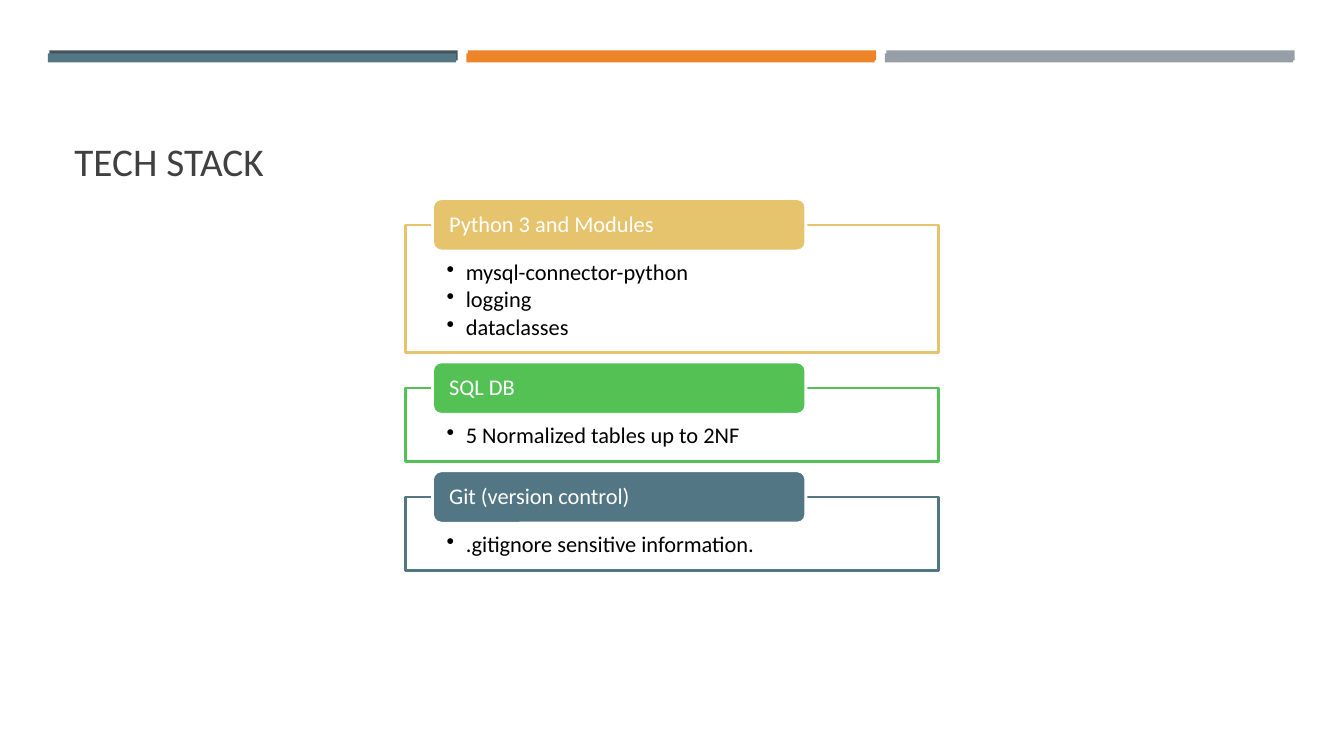
"""Build the tech stack slide: a three-colour header band and stacked panels with tab labels."""
import pptx
import pptx.dml.color
import pptx.enum.shapes
import pptx.enum.text
import pptx.util
import lxml.etree

RGBColor = pptx.dml.color.RGBColor
Shape = pptx.enum.shapes.MSO_SHAPE
Anchor = pptx.enum.text.MSO_ANCHOR
Align = pptx.enum.text.PP_ALIGN

WHITE = RGBColor(0xFF, 0xFF, 0xFF)
BLACK = RGBColor(0x00, 0x00, 0x00)
CHARCOAL = RGBColor(0x40, 0x40, 0x40)
DARK_SLATE = RGBColor(0x46, 0x53, 0x59)
SLATE = RGBColor(0x53, 0x76, 0x85)
ORANGE = RGBColor(0xED, 0x84, 0x28)
GREY = RGBColor(0x96, 0x9F, 0xA7)
GOLD = RGBColor(0xE6, 0xC4, 0x6D)
GREEN = RGBColor(0x54, 0xC1, 0x55)

FONT = "Calibri"
CELL = pptx.util.Inches(0.01)

deck = pptx.Presentation()
deck.slide_width = pptx.util.Inches(13.33)
deck.slide_height = pptx.util.Inches(7.5)
page = deck.slides.add_slide(deck.slide_layouts[6])


def add_block(kind, left, top, width, height, fill, line=None, weight=0):
    """Add a filled shape placed in grid cells, with an optional outline."""
    block = page.shapes.add_shape(kind, *(round(cells * CELL) for cells in (left, top, width, height)))
    block.shadow.inherit = False
    block.fill.solid()
    block.fill.fore_color.rgb = fill
    if line is None:
        block.line.fill.background()
    else:
        block.line.color.rgb = line
        block.line.width = pptx.util.Pt(weight)
    return block


def write_lines(box, lines, size, color, anchor, insets, space_after=0):
    """Write one paragraph per line, with insets in cells as left, top, right, bottom."""
    frame = box.text_frame
    frame.word_wrap = True
    frame.vertical_anchor = anchor
    frame.margin_left, frame.margin_top, frame.margin_right, frame.margin_bottom = (
        round(inset * CELL) for inset in insets)
    frame.text = "\n".join(lines)
    for para in frame.paragraphs:
        para.alignment = Align.LEFT
        para.line_spacing = 0.9
        para.space_after = pptx.util.Pt(space_after)
        para.font.name = FONT
        para.font.size = pptx.util.Pt(size)
        para.font.color.rgb = color
    return frame.paragraphs


BAND_WIDTH = 405
BAND_STEP = 415
for column, (back, front) in enumerate([(DARK_SLATE, SLATE), (ORANGE, ORANGE), (GREY, GREY)]):
    add_block(Shape.RECTANGLE, 49 + column * BAND_STEP, 50, BAND_WIDTH, 10, back)
    add_block(Shape.RECTANGLE, 47.5 + column * BAND_STEP, 53, BAND_WIDTH, 9, front)

title = page.shapes.add_textbox(64 * CELL, 80 * CELL, 1206 * CELL, 108 * CELL)
write_lines(title, ["TECH STACK"], 28, CHARCOAL, Anchor.BOTTOM, (10, 5, 10, 5))

PANEL_LEFT = 402
PANEL_WIDTH = 529
PANEL_GAP = 35
ONE_LINE_HEIGHT = 73
EXTRA_LINE_HEIGHT = 27
LABEL_HEIGHT = 52
BULLET_INDENT = 19 * CELL

sections = [
    ("Python 3 and Modules", GOLD, ["mysql-connector-python", "logging", "dataclasses"]),
    ("SQL DB", GREEN, ["5 Normalized tables up to 2NF"]),
    ("Git (version control)", SLATE, [".gitignore sensitive information."]),
]

panel_top = 223
for heading, color, items in sections:
    panel_height = ONE_LINE_HEIGHT + EXTRA_LINE_HEIGHT * (len(items) - 1)
    panel = add_block(Shape.RECTANGLE, PANEL_LEFT, panel_top, PANEL_WIDTH, panel_height, WHITE, color, 1.75)
    for para in write_lines(panel, items, 16, BLACK, Anchor.TOP, (41, 36, 41, 12), 2.4):
        properties = para._p.get_or_add_pPr()
        properties.set("marL", str(BULLET_INDENT))
        properties.set("indent", str(-BULLET_INDENT))
        bullet = lxml.etree.SubElement(properties, pptx.oxml.ns.qn("a:buChar"))
        bullet.set("char", "•")

    label = add_block(Shape.ROUNDED_RECTANGLE, PANEL_LEFT + 27, panel_top - LABEL_HEIGHT / 2,
                      PANEL_WIDTH * 0.7, LABEL_HEIGHT, color, WHITE, 2)
    write_lines(label, [heading], 16, WHITE, Anchor.MIDDLE, (14, 0, 14, 0))
    panel_top += panel_height + PANEL_GAP

deck.save("out.pptx")
